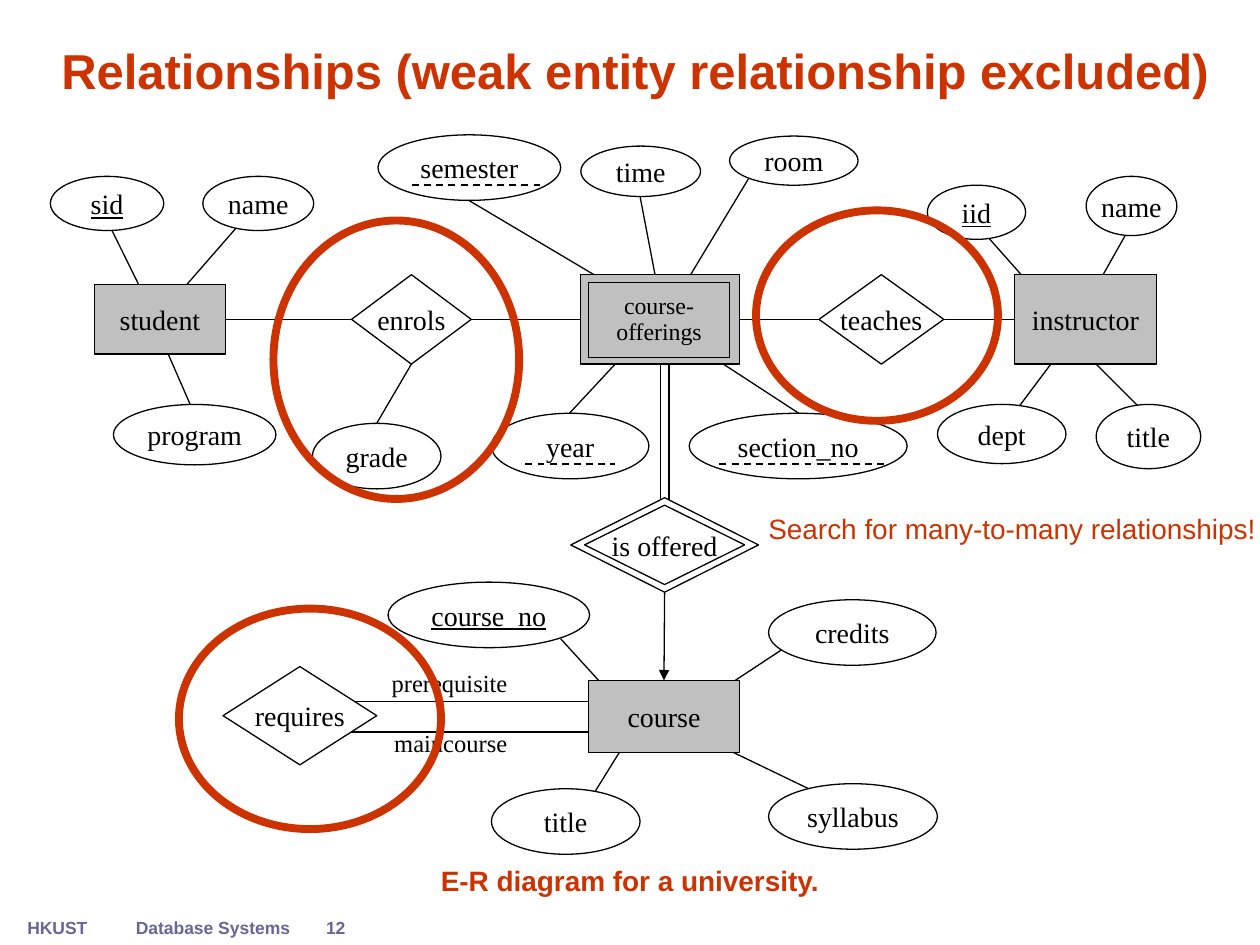
from dataclasses import dataclass
from typing import Any, Optional

from lxml.etree import SubElement
from pptx import Presentation
from pptx.dml.color import RGBColor
from pptx.enum.dml import MSO_LINE_DASH_STYLE as Dash
from pptx.enum.shapes import MSO_CONNECTOR as Conn, MSO_SHAPE as Shape
from pptx.enum.text import MSO_ANCHOR as Anchor, PP_ALIGN as Align
from pptx.oxml.ns import qn
from pptx.util import Inches, Pt


@dataclass(frozen=True)
class Theme:
    ink: str = "000000"
    paper: str = "FFFFFF"
    entity: str = "C0C0C0"
    accent: str = "CC3300"
    footer: str = "666699"
    sans: str = "Arial"
    serif: str = "Times New Roman"
    title_size: float = 28
    body_size: float = 16
    role_size: float = 14
    weak_size: float = 13.6
    footer_size: float = 10
    thin: float = 0.75
    dash: float = 1
    ring: float = 4.5


@dataclass(frozen=True)
class Node:
    label: str
    kind: Any
    left: float
    top: float
    width: float
    height: float
    fill: Optional[str] = None
    key: bool = False
    size: float = Theme.body_size
    wrap: bool = False
    spacing: float = 1.0


@dataclass(frozen=True)
class Caption:
    text: str
    left: float
    top: float
    width: float
    height: float
    size: float
    color: str = Theme.accent
    font: str = Theme.sans
    bold: bool = False
    align: Any = Align.LEFT
    anchor: Any = Anchor.TOP
    wrap: bool = True


T = Theme()
OVAL, BOX, DECISION = Shape.OVAL, Shape.FLOWCHART_PROCESS, Shape.FLOWCHART_DECISION

SPOKES = [
    (7.75, 1.78, 8.38, 2.49), (9.02, 1.71, 8.62, 2.42),      # instructor
    (7.89, 3.49, 8.46, 2.73), (9.33, 3.52, 8.54, 2.73),
    (4.75, 5.57, 2.78, 5.57), (4.75, 5.81, 2.78, 5.81),      # requires
    (6.29, 5.1, 5.79, 5.43), (6.48, 6.29, 5.63, 5.88),       # course
    (4.45, 5.07, 5.27, 5.97), (5.27, 5.4, 4.6, 6.48),
    (5.31, 4.07, 5.31, 2.81), (5.24, 4.07, 5.24, 2.81),      # is offered
    (4.52, 3.28, 5.18, 2.57), (6.34, 3.28, 5.25, 2.57),      # course-offerings
    (5.94, 1.42, 5.27, 2.53), (5.08, 1.56, 5.26, 2.5),
    (3.72, 1.59, 5.22, 2.48),
    (0.83, 1.71, 1.22, 2.5), (1.9, 1.78, 1.35, 2.41),        # student
    (1.3, 2.73, 1.61, 3.44),
]

ATTRIBUTES = [
    Node("sid", OVAL, 0.4, 1.4, 0.9, 0.43, T.paper, key=True),
    Node("name", OVAL, 1.61, 1.4, 0.88, 0.43, T.paper),
    Node("program", OVAL, 0.9, 3.21, 1.29, 0.48, T.paper),
    Node("semester", OVAL, 3, 1.07, 1.45, 0.52),
    Node("time", OVAL, 4.61, 1.16, 0.95, 0.4),
    Node("room", OVAL, 5.79, 1.08, 1.02, 0.39),
    Node("year", OVAL, 3.9, 3.28, 1.25, 0.52),
    Node("section_no", OVAL, 5.47, 3.28, 1.73, 0.52, T.paper),
    Node("grade", OVAL, 2.48, 3.36, 1.02, 0.52),
    Node("iid", OVAL, 7.36, 1.47, 0.78, 0.43, T.paper, key=True),
    Node("name", OVAL, 8.62, 1.4, 0.72, 0.47, T.paper),
    Node("dept", OVAL, 7.44, 3.21, 1.02, 0.47, T.paper),
    Node("title", OVAL, 8.7, 3.21, 0.83, 0.51, T.paper),
    Node("course_no", OVAL, 3.08, 4.62, 1.6, 0.52, key=True),
    Node("credits", OVAL, 6.1, 4.76, 1.33, 0.52, T.paper),
    Node("syllabus", OVAL, 6.1, 6.22, 1.34, 0.52, T.paper),
    Node("title", OVAL, 3.9, 6.26, 1.18, 0.52, T.paper),
]

STUDENT = Node("student", BOX, 0.75, 2.26, 1.04, 0.55, T.entity)
INSTRUCTOR = Node("instructor", BOX, 8.05, 2.18, 1.13, 0.71, T.entity)
COURSE = Node("course", BOX, 4.67, 5.4, 1.2, 0.57, T.entity)
WEAK_FRAME = Node("", Shape.RECTANGLE, 4.61, 2.18, 1.26, 0.71, T.entity)
WEAK = Node("course- offerings", Shape.RECTANGLE, 4.67, 2.24, 1.12, 0.6, T.entity,
            size=T.weak_size, wrap=True, spacing=0.9)
ENROLS = Node("enrols", DECISION, 2.79, 2.18, 0.95, 0.71, T.paper)
TEACHES = Node("teaches", DECISION, 6.5, 2.18, 0.99, 0.71, T.paper)
REQUIRES = Node("requires", DECISION, 1.77, 5.29, 1.22, 0.78, T.paper)
OFFERED_FRAME = Node("", Shape.DIAMOND, 4.53, 3.95, 1.49, 0.75, T.paper)
OFFERED = Node("is offered", DECISION, 4.64, 4.01, 1.27, 0.63, T.paper)
CORE = [STUDENT, INSTRUCTOR, COURSE, WEAK_FRAME, WEAK, ENROLS, TEACHES, REQUIRES,
        OFFERED_FRAME, OFFERED]

GRADE = next(n for n in ATTRIBUTES if n.label == "grade")
TOP, LEFT, BOTTOM, RIGHT = range(4)
JOINS = [
    (STUDENT, RIGHT, ENROLS, LEFT), (ENROLS, RIGHT, WEAK_FRAME, LEFT),
    (WEAK_FRAME, RIGHT, TEACHES, LEFT), (TEACHES, RIGHT, INSTRUCTOR, LEFT),
    (ENROLS, BOTTOM, GRADE, TOP),
]
PARTIAL_KEYS = [(3.27, 1.47, 4.29, 1.47), (4.17, 3.68, 4.88, 3.68), (5.71, 3.68, 7.05, 3.68)]
RINGS = [(2.17, 1.75, 1.95, 2.21), (1.42, 4.83, 2.08, 1.75), (6, 1.67, 1.92, 1.67)]

FOOTER = dict(size=T.footer_size, color=T.footer, bold=True, wrap=False)
HEADING = dict(bold=True, align=Align.CENTER, anchor=Anchor.BOTTOM)
ROLE = dict(size=T.role_size, color=T.ink, font=T.serif)
CAPTIONS = [
    Caption("HKUST", 0.05, 7.23, 0.81, 0.27, align=Align.CENTER, **FOOTER),
    Caption("Database Systems", 0.98, 7.23, 1.5, 0.27, **FOOTER),
    Caption("12", 2.23, 7.23, 0.87, 0.27, align=Align.CENTER, **FOOTER),
    Caption("E-R diagram for a university.", 0.75, 6.66, 8.5, 0.51, T.body_size, **HEADING),
    Caption("Relationships (weak entity relationship excluded)", 0.33, 0.22, 9.42, 0.62,
            T.title_size, **HEADING),
    Caption("prerequisite", 3.01, 5.25, 1.43, 0.34, **ROLE),
    Caption("maincourse", 3.03, 5.73, 1.42, 0.34, **ROLE),
    Caption("Search for many-to-many relationships!", 6, 4.01, 4.07, 0.37, T.body_size,
            wrap=False),
]


def apply(obj: Any, values: dict) -> None:
    for name, value in values.items():
        setattr(obj, name, value)


def write(s: Any, text: str, color: str, frame: dict, para: dict, font: dict) -> None:
    tf = s.text_frame
    apply(tf, frame)
    p = tf.paragraphs[0]
    apply(p, para)
    r = p.add_run()
    r.text = text
    apply(r.font, font)
    r.font.color.rgb = RGBColor.from_string(color)


def outline(s: Any, color: str, width: float) -> None:
    s.line.color.rgb = RGBColor.from_string(color)
    s.line.width = Pt(width)


def add_outlined(sp: Any, kind: Any, box: tuple, color: str, width: float,
                 fill: Optional[str] = None) -> Any:
    s = sp.add_shape(kind, *map(Inches, box))
    s.shadow.inherit = False
    if fill:
        s.fill.solid()
        s.fill.fore_color.rgb = RGBColor.from_string(fill)
    else:
        s.fill.background()
    outline(s, color, width)
    return s


def add_node(sp: Any, n: Node) -> Any:
    box = (n.left, n.top, n.width, n.height)
    s = add_outlined(sp, n.kind, box, T.ink, T.thin, n.fill)
    if n.label:
        write(s, n.label, T.ink, dict(word_wrap=n.wrap, vertical_anchor=Anchor.MIDDLE),
              dict(alignment=Align.CENTER, line_spacing=n.spacing),
              dict(size=Pt(n.size), name=T.serif, underline=n.key))
    return s


def add_caption(sp: Any, c: Caption) -> None:
    s = sp.add_textbox(*map(Inches, (c.left, c.top, c.width, c.height)))
    write(s, c.text, c.color, dict(word_wrap=c.wrap, vertical_anchor=c.anchor),
          dict(alignment=c.align), dict(size=Pt(c.size), name=c.font, bold=c.bold))


def add_line(sp: Any, ends: tuple = (0, 0, 0, 0), width: float = T.thin) -> Any:
    s = sp.add_connector(Conn.STRAIGHT, *map(Inches, ends))
    outline(s, T.ink, width)
    SubElement(s._element.spPr, qn("a:effectLst"))
    return s


def join(sp: Any, start: Any, start_site: int, end: Any, end_site: int) -> Any:
    s = add_line(sp)
    s.begin_connect(start, start_site)
    s.end_connect(end, end_site)
    return s


def main() -> None:
    prs = Presentation()
    prs.slide_width, prs.slide_height = Inches(10), Inches(7.5)
    sp = prs.slides.add_slide(prs.slide_layouts[6]).shapes
    for ends in SPOKES:
        add_line(sp, ends)
    drawn = {n: add_node(sp, n) for n in ATTRIBUTES + CORE}
    for a, a_site, b, b_site in JOINS:
        join(sp, drawn[a], a_site, drawn[b], b_site)
    arrow = join(sp, drawn[OFFERED_FRAME], BOTTOM, drawn[COURSE], TOP)
    SubElement(arrow.line._get_or_add_ln(), qn("a:tailEnd"), type="triangle")
    for ends in PARTIAL_KEYS:
        add_line(sp, ends, T.dash).line.dash_style = Dash.DASH
    for c in CAPTIONS:
        add_caption(sp, c)
    for box in RINGS:
        add_outlined(sp, OVAL, box, T.accent, T.ring)
    prs.save("out.pptx")


if __name__ == "__main__":
    main()
